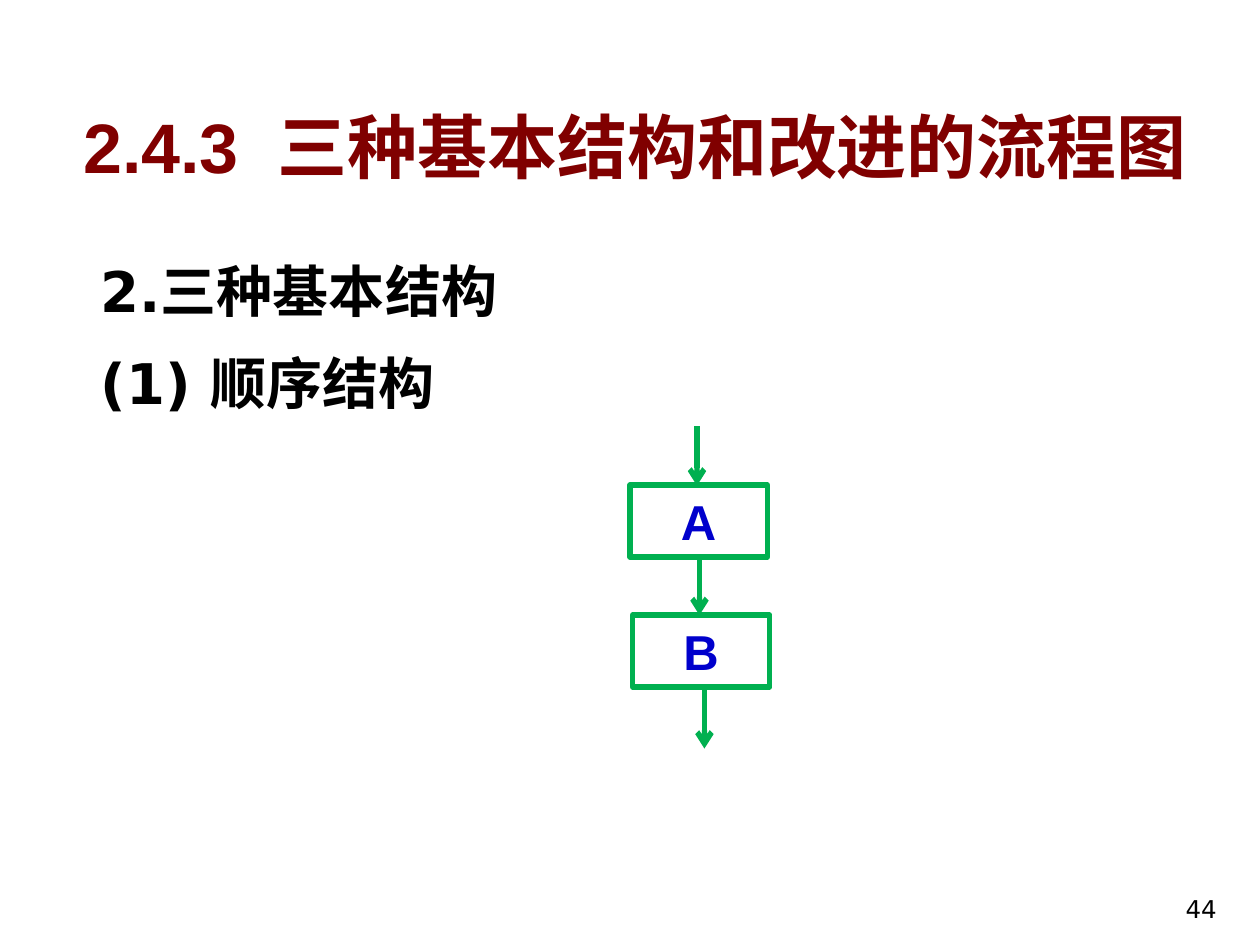
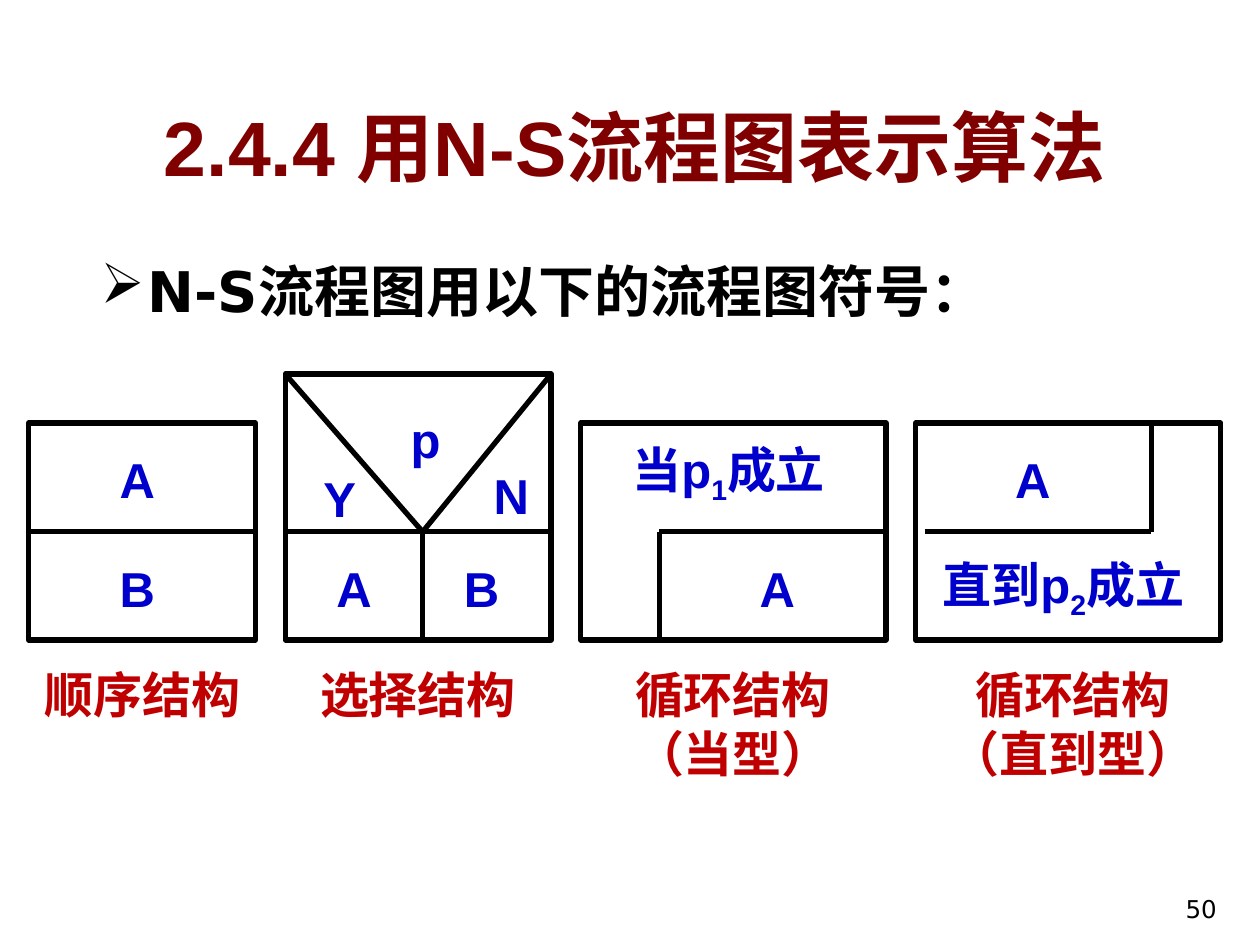
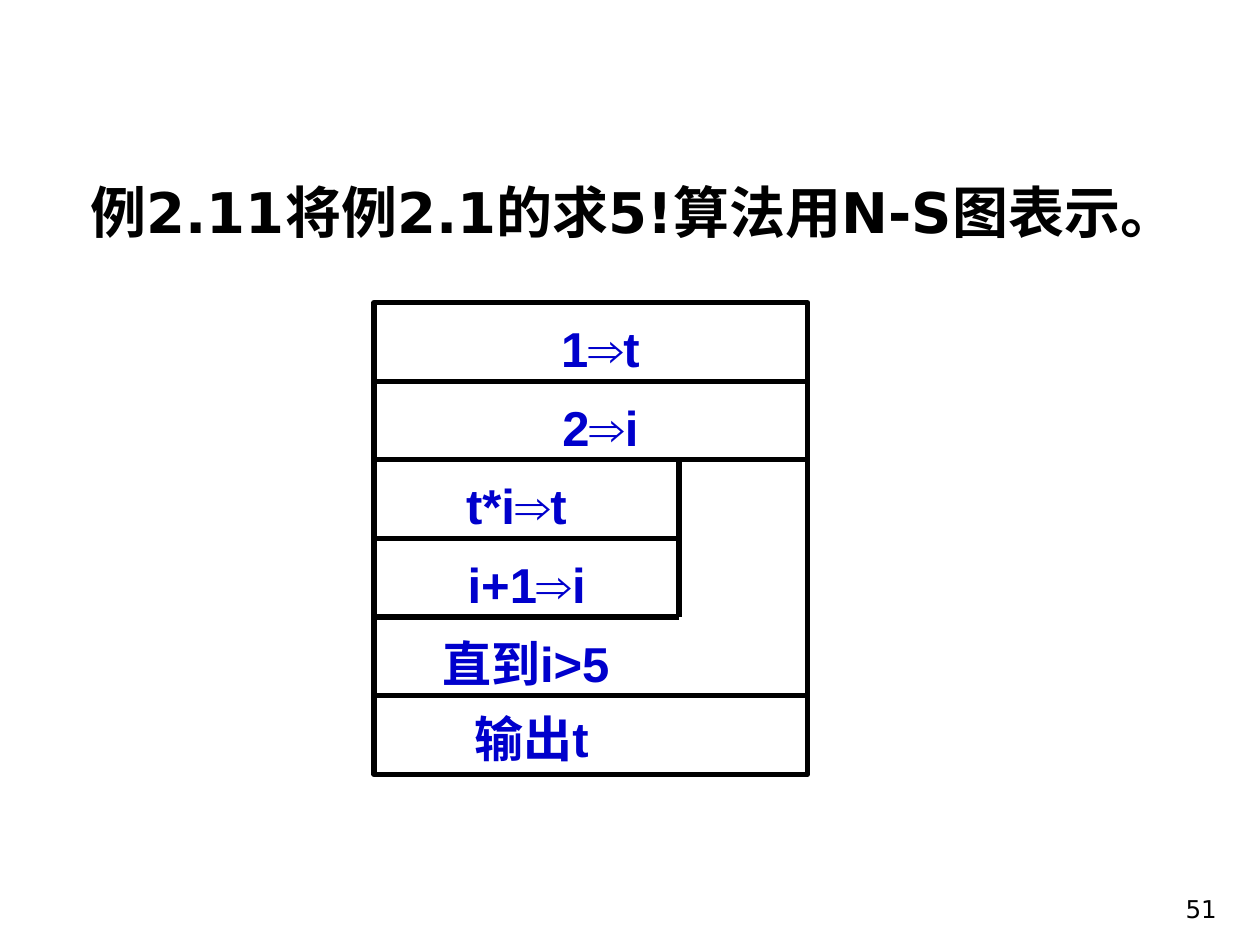
from dataclasses import dataclass

from lxml.etree import SubElement
from pptx import Presentation
from pptx.dml.color import RGBColor
from pptx.enum.lang import MSO_LANGUAGE_ID as Language
from pptx.enum.shapes import MSO_CONNECTOR as Connector, MSO_SHAPE as Shape
from pptx.enum.text import MSO_ANCHOR as Anchor, MSO_AUTO_SIZE as AutoSize, PP_ALIGN as Align
from pptx.oxml.ns import qn
from pptx.util import Cm, Pt


@dataclass(frozen=True)
class Theme:
    """Colours, fonts and type sizes of the deck."""
    title: str = "800000"
    title_shadow: str = "C0C0C0"
    ink: str = "000000"
    label: str = "0000CC"
    caption: str = "C00000"
    flow: str = "00B050"
    display_font: str = "Arial"
    body_font: str = "DejaVu Sans"
    body_size: int = 32
    label_size: int = 28
    number_size: int = 14
    stroke: float = 3


THEME = Theme()
LABEL_HEIGHT = 1.45


def style_runs(para, font_name, size, colour, bold=True):
    """Format every run of a paragraph."""
    for span in para.runs:
        font = span.font
        font.name, font.size, font.bold = font_name, Pt(size), bold
        font.color.rgb = RGBColor.from_string(colour)
        font.language_id = Language.SIMPLIFIED_CHINESE


def add_text_shadow(span):
    """Give a coloured run a soft shadow to the lower right."""
    fill = span.font._element.find(qn("a:solidFill"))
    effects = SubElement(span.font._element, qn("a:effectLst"))
    shadow = SubElement(effects, qn("a:outerShdw"), dist="35921", dir="2700000")
    SubElement(shadow, qn("a:srgbClr"), val=THEME.title_shadow)
    fill.addnext(effects)


def add_title(page, text, size):
    """Place and format the title placeholder."""
    box = page.shapes.title
    box.left, box.top, box.width, box.height = Cm(1.19), Cm(1.5), Cm(23.22), Cm(2.87)
    frame = box.text_frame
    frame.text = text
    frame.word_wrap, frame.auto_size = True, AutoSize.NONE
    frame.vertical_anchor = Anchor.MIDDLE
    para = frame.paragraphs[0]
    para.alignment = Align.CENTER
    style_runs(para, THEME.display_font, size, THEME.title)
    add_text_shadow(para.runs[0])


def add_body(page, text, left, top, width, height, bullet=None):
    """Write hanging body paragraphs, with a bullet if one is given."""
    box = page.shapes.add_textbox(Cm(left), Cm(top), Cm(width), Cm(height))
    frame = box.text_frame
    frame.word_wrap = True
    frame.text = text
    for index, para in enumerate(frame.paragraphs):
        para.line_spacing = 1.2
        para.space_before = Pt(6.4 if index else 0)
        properties = para._p.get_or_add_pPr()
        properties.set("marL", str(Cm(0.95)))
        properties.set("indent", str(-Cm(0.95)))
        if bullet:
            SubElement(properties, qn("a:buChar"), char=bullet)
        style_runs(para, THEME.body_font, THEME.body_size, THEME.ink)


def add_number(page, number):
    """Write the page number in the lower right corner."""
    box = page.shapes.add_textbox(Cm(19.5), Cm(17.47), Cm(5.28), Cm(1.27))
    frame = box.text_frame
    frame.word_wrap = True
    frame.vertical_anchor = Anchor.BOTTOM
    frame.text = str(number)
    para = frame.paragraphs[0]
    para.alignment = Align.RIGHT
    style_runs(para, THEME.body_font, THEME.number_size, THEME.ink, bold=False)


def write_label(box, text, colour=THEME.label):
    """Write centred bold text; parts between underscores are subscripts."""
    frame = box.text_frame
    frame.word_wrap = True
    frame.vertical_anchor = Anchor.TOP
    frame.text = text.replace("_", "")
    for para, line in zip(frame.paragraphs, text.split("\n")):
        para.alignment = Align.CENTER
        parts = line.split("_")
        para.text = parts[0]
        for part in parts[1:]:
            para.add_run().text = part
        style_runs(para, THEME.display_font, THEME.label_size, colour)
        for span in para.runs[1::2]:
            span.font._element.set("baseline", "-25000")


def add_label(shapes, text, left, top, width=1.98, height=LABEL_HEIGHT, colour=THEME.label):
    """Add a text box that holds a label."""
    box = shapes.add_textbox(Cm(left), Cm(top), Cm(width), Cm(height))
    write_label(box, text, colour)


def add_outline(shapes, kind, left, top, width, height, colour=None):
    """Add an unfilled shape, outlined when a colour is given."""
    box = shapes.add_shape(kind, Cm(left), Cm(top), Cm(width), Cm(height))
    box.shadow.inherit = False
    box.fill.background()
    if colour:
        box.line.color.rgb = RGBColor.from_string(colour)
        box.line.width = Pt(THEME.stroke)
    else:
        box.line.fill.background()
    return box


def add_line(shapes, x1, y1, x2, y2, colour=THEME.ink, arrow=False):
    """Draw a straight line, with an arrowhead at its end if asked."""
    line = shapes.add_connector(Connector.STRAIGHT, Cm(x1), Cm(y1), Cm(x2), Cm(y2))
    line.line.color.rgb = RGBColor.from_string(colour)
    line.line.width = Pt(THEME.stroke)
    if arrow:
        SubElement(line.line._get_or_add_ln(), qn("a:tailEnd"), type="arrow")
    SubElement(line._element.spPr, qn("a:effectLst"))


def add_structure(page, left, top, width, bottom, lines, labels):
    """Group a frame with lines and labels measured from its left edge."""
    shapes = page.shapes.add_group_shape().shapes
    add_outline(shapes, Shape.FLOWCHART_PROCESS, left, top, width, bottom - top, THEME.ink)
    for x1, y1, x2, y2 in lines:
        add_line(shapes, left + x1, y1, left + x2, y2)
    for text, x, y, label_width in labels:
        add_label(shapes, text, left + x, y, label_width)


def build_sequence_page(deck):
    """Build the flowchart of the sequence structure."""
    page = deck.slides.add_slide(deck.slide_layouts[5])
    add_title(page, "2.4.3  三种基本结构和改进的流程图", 40)
    add_body(page, "2.三种基本结构\n(1) 顺序结构", 1.78, 4.78, 21.64, 4.17)
    for x, y in ((14.05, 8.59), (14.1, 11.2), (14.2, 13.89)):
        add_line(page.shapes, x, y, x, y + 1.2, THEME.flow, arrow=True)
    for text, left, top in (("A", 12.7, 9.78), ("B", 12.75, 12.4)):
        box = add_outline(page.shapes, Shape.RECTANGLE, left, top, 2.77, LABEL_HEIGHT, THEME.flow)
        write_label(box, text)
    add_number(page, 44)


def build_symbols_page(deck):
    """Build the four N-S symbols with their captions."""
    page = deck.slides.add_slide(deck.slide_layouts[5])
    add_title(page, "2.4.4 用N-S流程图表示算法", 44)
    add_body(page, "N-S流程图用以下的流程图符号：", 1.78, 4.78, 22.23, 2.59, "➢")
    top, tall_top, middle, bottom = 8.53, 7.54, 10.72, 12.9
    upper, lower = 8.94, 11.13
    structures = (
        (top, 4.57, [(0, middle, 4.57, middle)],
         [("A", 1.2, upper, 1.98), ("B", 1.2, lower, 1.98)]),
        (tall_top, 5.36,
         [(0, middle, 5.36, middle), (0, tall_top, 2.77, middle),
          (5.36, tall_top, 2.77, middle), (2.77, middle, 2.77, bottom)],
         [("A", 0.4, lower, 1.98), ("B", 2.97, lower, 1.98), ("Y", 0.4, 9.32, 1.4),
          ("N", 3.91, 9.25, 1.3), ("p", 2.18, 8.13, 1.3)]),
        (top, 6.15, [(1.58, middle, 6.15, middle), (1.58, middle, 1.58, bottom)],
         [("A", 2.97, lower, 1.98), ("当p_1_成立", 0.4, 8.74, 5.16)]),
        (top, 6.15, [(0.18, middle, 4.75, middle), (4.75, top, 4.75, middle)],
         [("A", 1.37, upper, 1.98), ("直到p_2_成立", 0, 11.05, 5.95)]),
    )
    left, gap = 0.58, 0.6
    for frame_top, width, lines, labels in structures:
        add_structure(page, left, frame_top, width, bottom, lines, labels)
        left += width + gap
    captions = (("顺序结构", 0.4, 4.95, 1.45), ("选择结构", 5.95, 4.95, 1.45),
                ("循环结构\n（当型）", 12.3, 4.95, 2.64), ("循环结构（直到型）", 18.85, 5.56, 2.64))
    for text, x, width, height in captions:
        add_label(page.shapes, text, x, 13.28, width, height, THEME.caption)
    add_number(page, 50)


def build_factorial_page(deck):
    """Build the N-S chart of the factorial algorithm."""
    page = deck.slides.add_slide(deck.slide_layouts[6])
    add_body(page, "例2.11将例2.1的求5!算法用N-S图表示。", 1.58, 3.18, 22.66, 2.39)
    left, top, width, row = 7.54, 6.1, 8.74, 1.585
    right, loop_right = left + width, 13.69
    shapes = page.shapes
    add_outline(shapes, Shape.FLOWCHART_PROCESS, left, top, width, 6 * row, THEME.ink)
    for index, end in enumerate((right, right, loop_right, loop_right, right), 1):
        add_line(shapes, left, top + index * row, end, top + index * row)
    add_line(shapes, loop_right, top + 2 * row, loop_right, top + 4 * row)
    steps = (("1⇒t", 10.72, 2.77), ("2⇒i", 10.72, 2.77), ("t*i⇒t", 8.53, 3.76),
             ("i+1⇒i", 8.74, 3.76), ("直到i>5", 7.92, 5.36))
    for index, (text, x, label_width) in enumerate(steps):
        add_label(shapes, text, x, top + index * row + 0.2, label_width)
    output = add_outline(shapes, Shape.PARALLELOGRAM, 8.53, 14.1, 4.37, row)
    write_label(output, "输出t")
    frame = output.text_frame
    frame.word_wrap = False
    frame.margin_left = frame.margin_right = frame.margin_top = frame.margin_bottom = 0
    add_number(page, 51)


def main():
    """Build and save the deck."""
    deck = Presentation()
    deck.slide_width, deck.slide_height = Cm(25.4), Cm(19.05)
    build_sequence_page(deck)
    build_symbols_page(deck)
    build_factorial_page(deck)
    deck.save("out.pptx")


if __name__ == "__main__":
    main()
